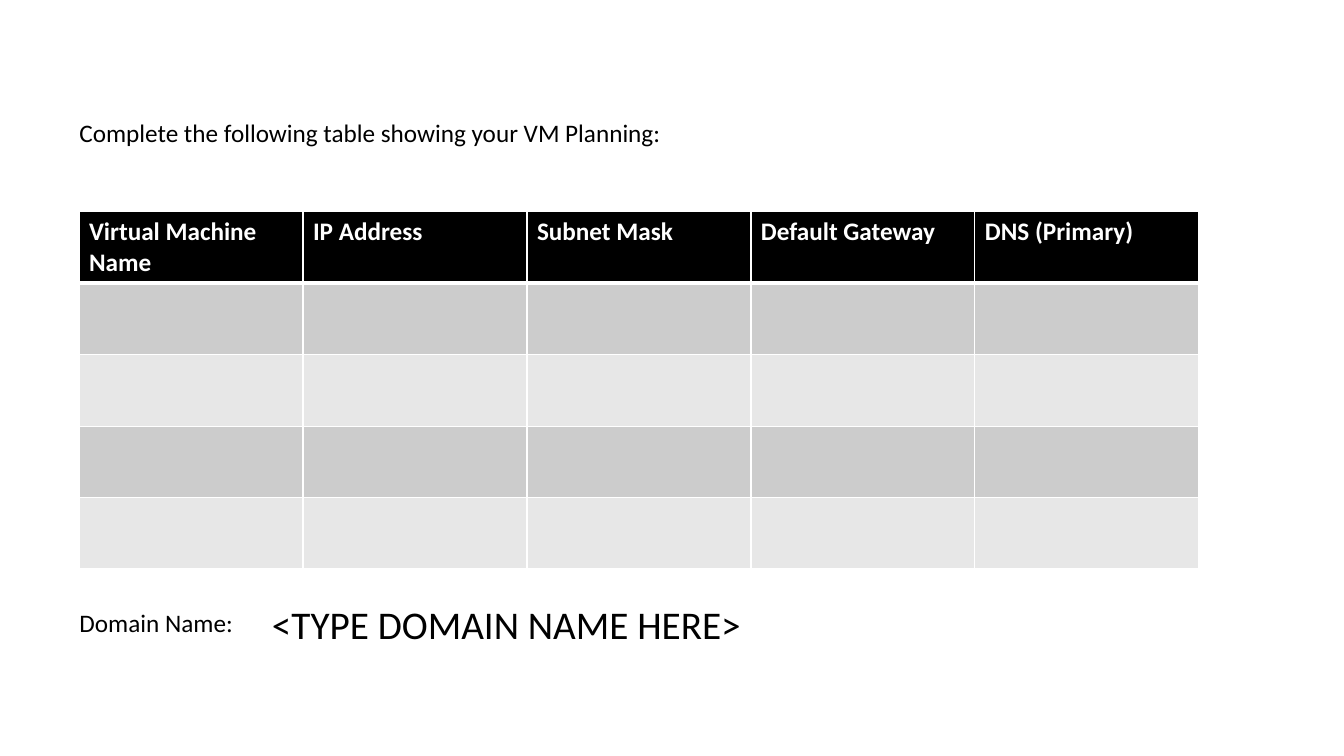
from dataclasses import dataclass

from lxml.etree import SubElement
from pptx import Presentation
from pptx.dml.color import RGBColor as Color
from pptx.oxml.ns import qn
from pptx.util import Pt


@dataclass(frozen=True)
class Theme:
    font: str = "Calibri"
    ink: str = "000000"
    paper: str = "FFFFFF"
    bands: tuple = ("CCCCCC", "E7E7E7")
    body_size: int = 18
    domain_size: int = 28


theme = Theme()


def add_span(para, text, size, color, bold=False):
    span = para.add_run()
    span.text = text
    span.font.name = theme.font
    span.font.size = Pt(size)
    span.font.bold = bold
    span.font.color.rgb = Color.from_string(color)


def add_border(cell, side, width):
    properties = cell._tc.get_or_add_tcPr()
    line = SubElement(properties, qn(f"a:{side}"), w=str(Pt(width)))
    fill = SubElement(line, qn("a:solidFill"))
    SubElement(fill, qn("a:srgbClr"), val=theme.paper)


# Page
deck = Presentation()
deck.slide_width, deck.slide_height = Pt(960), Pt(540)
page = deck.slides.add_slide(deck.slide_layouts[6])

# Planning table
headings = ["Virtual Machine Name", "IP Address", "Subnet Mask",
            "Default Gateway", "DNS (Primary)"]
row_count, column_width, header_height, row_height = 5, 160, 47.5, 51
frame = page.shapes.add_table(
    row_count, len(headings), Pt(56.4), Pt(151.2),
    Pt(column_width * len(headings)),
    Pt(header_height + row_height * (row_count - 1)))
table = frame.table
for column in table.columns:
    column.width = Pt(column_width)

for row_index, row in enumerate(table.rows):
    is_header = row_index == 0
    row.height = Pt(header_height if is_header else row_height)
    band = theme.ink if is_header else theme.bands[(row_index - 1) % 2]
    for heading, cell in zip(headings, row.cells):
        # Borders come before the fill in the cell properties
        add_border(cell, "lnL", 1)
        add_border(cell, "lnR", 1)
        add_border(cell, "lnT", 3 if row_index == 1 else 1)
        add_border(cell, "lnB", 3 if is_header else 1)
        cell.fill.solid()
        cell.fill.fore_color.rgb = Color.from_string(band)
        if is_header:
            add_span(cell.text_frame.paragraphs[0], heading,
                     theme.body_size, theme.paper, bold=True)

# Instruction and domain name
labels = [
    ("Complete the following table showing your VM Planning:",
     49.7, 80, 440, 29, theme.body_size),
    ("Domain Name:", 49.7, 430.5, 128, 29, theme.body_size),
    ("<TYPE DOMAIN NAME HERE>", 187.2, 425, 375, 41, theme.domain_size),
]
for text, left, top, width, height, size in labels:
    box = page.shapes.add_textbox(Pt(left), Pt(top), Pt(width), Pt(height))
    box.text_frame.word_wrap = True
    add_span(box.text_frame.paragraphs[0], text, size, theme.ink)

deck.save("out.pptx")
